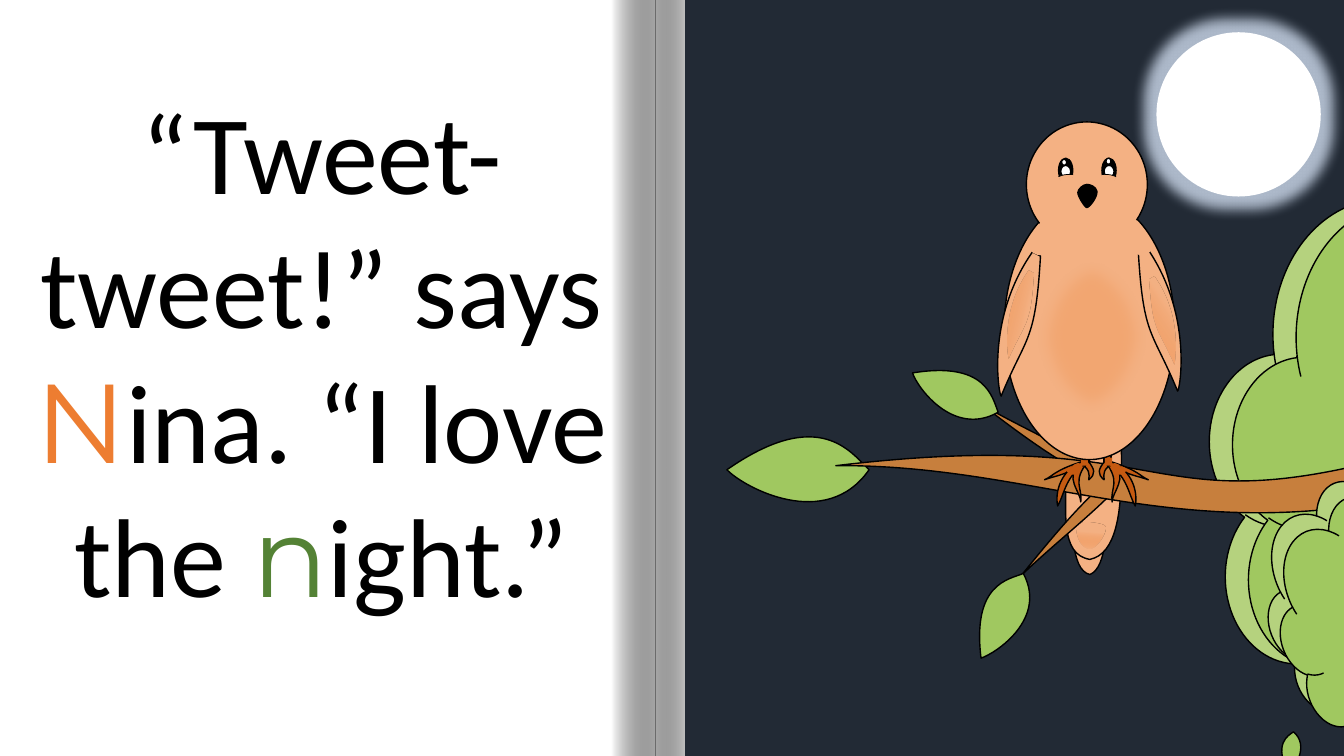
"""Build a storybook page with a bird on a branch at night."""
from dataclasses import dataclass, replace
from math import cos, radians, sin
from typing import Optional, Union

from lxml.etree import SubElement
from pptx import Presentation
from pptx.dml.color import RGBColor
from pptx.enum.shapes import MSO_SHAPE
from pptx.enum.text import MSO_AUTO_SIZE, PP_ALIGN
from pptx.oxml.ns import qn
from pptx.util import Inches, Pt

BLACK, WHITE, NIGHT, ORANGE = "000000", "FFFFFF", "222A35", "ED7D31"
PEACH, RUST, BARK, LEAF, PALE_LEAF = "F4B183", "C55A11", "C77F3D", "A0C860", "B5D27E"
RECT, DISC, OVAL = MSO_SHAPE.RECTANGLE, MSO_SHAPE.FLOWCHART_CONNECTOR, MSO_SHAPE.OVAL
CLOUD, ARC = MSO_SHAPE.CLOUD, MSO_SHAPE.ARC


@dataclass(frozen=True)
class Paint:
    fill: str
    line: Optional[str] = None
    weight: float = 1
    alpha: Optional[int] = None
    fade_to: Optional[str] = None
    fade_start: float = 0
    angle: float = 0


@dataclass(frozen=True)
class Preset:
    kind: MSO_SHAPE
    frame: tuple
    paint: Paint
    turn: float = 0
    flip: str = ""
    arc: tuple = ()
    effect: tuple = ()

    def mirrored(self, axis_sum: float, drop: float = 0) -> "Preset":
        flip = self.flip.replace("h", "") if "h" in self.flip else "h" + self.flip
        return replace(self, frame=mirror_frame(self.frame, axis_sum, drop),
                       turn=-self.turn % 360, flip=flip)


@dataclass(frozen=True)
class Outline:
    frame: tuple
    turn: float
    start: tuple
    steps: tuple
    paint: Paint

    def mirrored(self, axis_sum: float, drop: float = 0) -> "Outline":
        def across(values: tuple) -> tuple:
            return tuple(value + drop if i % 2 else axis_sum - value
                         for i, value in enumerate(values))
        return replace(self, frame=mirror_frame(self.frame, axis_sum, drop),
                       turn=-self.turn % 360, start=across(self.start),
                       steps=tuple(map(across, self.steps)))


Item = Union[Preset, Outline]


def mirror_frame(frame: tuple, axis_sum: float, drop: float) -> tuple:
    left, top, width, height = frame
    return axis_sum - left - width, top + drop, width, height


def inked(fill: str) -> Paint:
    return Paint(fill, BLACK)


def feather(angle: float) -> Paint:
    return Paint(PEACH, alpha=0, fade_to=ORANGE, fade_start=0.38, angle=angle)


def both_sides(items: list, axis_sum: float, drop: float = 0) -> list:
    return items + [item.mirrored(axis_sum, drop) for item in items]


SHADE = Paint(WHITE, alpha=34, fade_to=BLACK, angle=180)
BOOK = [
    Preset(RECT, (-0.01, 0, 13.47, 7.5), Paint(WHITE)),
    *both_sides([Preset(RECT, (6.5, 0, 0.43, 7.5), SHADE)], 13),
]
SCENERY = [
    Preset(RECT, (6.8, 0, 6.66, 7.75), Paint(NIGHT, NIGHT)),
    Preset(CLOUD, (12, 1.4, 7.04, 6.31), inked(PALE_LEAF)),
    Preset(CLOUD, (12.23, 1.43, 7.04, 6.31), inked(LEAF)),
    Outline((12.6, 7.37, 0.41, 0.19), 283.6, (12.78, 7.67), (
        (12.63, 7.38, 12.77, 7.3, 12.83, 7.26), (12.99, 7.4, 12.84, 7.62, 12.78, 7.67)), inked(LEAF)),
]
TAIL = [
    Outline((10.26, 3.01, 0.69, 2.69), 357, (10.19, 3.03), (
        (10.89, 3.16), (10.86, 4.01, 11.15, 5.56, 10.81, 5.7),
        (10.42, 5.61, 10.87, 3.89, 10.19, 3.03)), inked(PEACH)),
    Outline((10.06, 3.02, 1.07, 2.53), 0, (10.06, 3.02), (
        (11.13, 3.18), (11.02, 3.97, 11.33, 5.44, 10.81, 5.55),
        (10.21, 5.45, 11.05, 3.87, 10.06, 3.02)), inked(PEACH)),
    Outline((10.68, 5.19, 0.28, 0.25), 4.1, (10.68, 5.21), (
        (10.71, 5.17, 10.94, 5.19, 10.96, 5.23), (10.98, 5.27, 10.88, 5.45, 10.8, 5.44),
        (10.73, 5.43, 10.67, 5.33, 10.68, 5.21)), feather(90)),
]
BRANCH = [
    Outline((9.62, 4.32, 1.39, 0.13), 28.6, (9.73, 4.01), (
        (10.08, 4.22, 10.69, 4.49, 10.95, 4.68), (10.94, 4.69, 10.87, 4.73, 10.87, 4.74),
        (10.55, 4.65, 9.92, 4.15, 9.73, 4.01)), inked(BARK)),
    Outline((9.91, 5.14, 1.39, 0.13), 317.1, (10.12, 5.72), (
        (10.41, 5.43, 10.94, 5.02, 11.14, 4.77), (11.13, 4.76, 11.06, 4.75, 11.05, 4.73),
        (10.76, 4.91, 10.27, 5.54, 10.12, 5.72)), inked(BARK)),
    Outline((7.22, 4.32, 1.4, 0.65), 7.4, (7.21, 4.66), (
        (8.13, 4.02, 8.44, 4.49, 8.62, 4.66), (8.19, 5.28, 7.37, 4.83, 7.21, 4.66)), inked(LEAF)),
    Outline((8.34, 4.09, 6.93, 1.18), 351.3, (8.29, 4.62), (
        (12.23, 4.15, 11.08, 5.54, 15.22, 4.09), (15.21, 4.25, 15.16, 4.4, 15.2, 4.56),
        (12.1, 5.72, 10.59, 4.6, 8.29, 4.62)), inked(BARK)),
    Outline((9.47, 5.89, 0.92, 0.43), 304.3, (9.73, 6.53), (
        (9.64, 5.79, 10, 5.75, 10.15, 5.69), (10.39, 6.14, 9.88, 6.48, 9.73, 6.53)), inked(LEAF)),
    Outline((9.02, 3.67, 0.92, 0.43), 32.6, (9.05, 3.7), (
        (9.78, 3.58, 9.84, 3.94, 9.9, 4.09), (9.46, 4.34, 9.1, 3.85, 9.05, 3.7)), inked(LEAF)),
    Preset(CLOUD, (12.55, 4.56, 2.61, 2.66), inked(PALE_LEAF), 338.5),
    Preset(CLOUD, (12.67, 4.71, 2.61, 2.66), inked(LEAF), 338.5),
]
MOON = Preset(DISC, (11.47, 0.32, 1.63, 1.63), Paint(WHITE), effect=("a:glow", 0.25, "ADB9CA"))
FOOT = [
    Preset(RECT, (10.95, 3.95, 0.07, 0.67), inked(RUST), flip="h"),
    Outline((10.93, 4.57, 0.2, 0.38), 332.3, (11.04, 4.59), (
        (10.96, 4.58), (11.12, 4.78, 11.01, 4.84, 11.03, 4.98),
        (11.03, 4.88, 11.2, 4.74, 11.04, 4.59)), inked(RUST)),
    Outline((11.11, 4.47, 0.16, 0.4), 273.9, (11.02, 4.58), (
        (10.99, 4.61), (11.27, 4.74, 11.25, 4.71, 11.39, 4.76),
        (11.3, 4.72, 11.3, 4.67, 11.02, 4.58)), inked(RUST)),
    Outline((10.9, 4.6, 0.12, 0.14), 40.7, (10.96, 4.57), (
        (10.99, 4.63), (10.92, 4.69, 10.96, 4.76, 10.95, 4.76),
        (10.88, 4.7, 10.89, 4.66, 10.96, 4.57)), inked(RUST)),
    Outline((10.97, 4.57, 0.3, 0.45), 294.3, (11.04, 4.59), (
        (10.96, 4.59), (11.18, 4.7, 11.19, 4.9, 11.26, 5.02),
        (11.29, 4.87, 11.22, 4.67, 11.04, 4.59)), inked(RUST)),
    Preset(RECT, (10.96, 4.54, 0.07, 0.08), Paint(RUST)),
    Preset(OVAL, (11.03, 4.59, 0.05, 0.1), Paint(RUST), 306.1),
    Preset(OVAL, (11.07, 4.61, 0.08, 0.12), Paint(RUST), 259.8),
    Preset(OVAL, (11.03, 4.58, 0.08, 0.12), Paint(RUST), 299.4),
]
BODY = [
    Preset(DISC, (9.96, 1.95, 1.69, 2.61), inked(PEACH)),
    Preset(DISC, (10.18, 1.21, 1.2, 1.24), inked(PEACH)),
]
EYES = [part for left in (10.5, 10.93) for part in (
    Preset(DISC, (left, 1.57, 0.14, 0.24), inked(BLACK), flip="h"),
    Preset(DISC, (left + 0.02, 1.64, 0.1, 0.12), inked(WHITE), 356.7, "h"))]
GLINTS = [Preset(DISC, (left, top, 0.05, 0.06), inked(WHITE), 356.7, "h")
          for left, top in ((10.97, 1.57), (10.53, 1.58))]
BELLY = [
    Preset(DISC, (10.26, 2.2, 1.08, 0.27), Paint(PEACH), flip="v"),
    Preset(DISC, (10.02, 2.76, 1.62, 1.16), Paint(ORANGE, alpha=20), 90, "v",
           effect=("a:softEdge", 0.14, None)),
]
WING = Outline((11.37, 2.44, 0.33, 1.44), 337.3, (11.29, 2.49), (
    (11.37, 2.45), (11.84, 3.12, 11.7, 3.88, 11.68, 3.88),
    (11.43, 3.27, 11.34, 3.36, 11.29, 2.49)), inked(PEACH))
SHOULDER = Preset(DISC, (11.25, 2.41, 0.18, 0.12), Paint(PEACH), 341.8, "v")
WING_PATCH = Outline((11.45, 2.74, 0.2, 0.88), 337.3, (11.4, 2.77), (
    (11.45, 2.74), (11.73, 3.15, 11.64, 3.62, 11.64, 3.62),
    (11.48, 3.24, 11.43, 3.3, 11.4, 2.77)), feather(170))
NECK = [Preset(DISC, (left, top, 0.18, 0.12), Paint(PEACH), 341.8, "v")
        for left, top in ((11.11, 2.17), (10.29, 2.18))]
BEAK = Outline((10.69, 1.83, 0.19, 0.23), 0, (10.69, 1.91), (
    (10.69, 1.88, 10.74, 1.83, 10.78, 1.83), (10.81, 1.83, 10.87, 1.85, 10.88, 1.9),
    (10.88, 1.97, 10.8, 2.06, 10.78, 2.06), (10.76, 2.06, 10.69, 1.95, 10.69, 1.91)), inked(BLACK))
CHEEK = Preset(ARC, (10.35, 1.73, 0.51, 0.51), Paint(PEACH, BLACK, 0.5), 311.9,
               arc=(176.06, 196.09))
BIRD = [*both_sides(FOOT, 21.75), *BODY, *EYES, *GLINTS, *BELLY,
        *both_sides([WING], 21.61, 0.05), *both_sides([SHOULDER], 21.64),
        *both_sides([WING_PATCH], 21.65, -0.06), *NECK, BEAK, *both_sides([CHEEK], 21.57)]
STORY = [("“Tweet-tweet!” says ", "Calibri", BLACK), ("N", "Montserrat", ORANGE),
         ("ina. “I love the ", "Calibri", BLACK), ("n", "Montserrat", "548235"),
         ("ight.”", "Calibri", BLACK)]


def colour(value: str) -> RGBColor:
    return RGBColor.from_string(value)


def apply_paint(shape, paint: Paint) -> None:
    shape.shadow.inherit = False
    if paint.fade_to:
        shape.fill.gradient()
        shape.fill.gradient_angle = -paint.angle % 360
        stops = ((paint.fade_start, paint.fill), (1, paint.fade_to))
        for stop, (position, value) in zip(shape.fill.gradient_stops, stops):
            stop.position, stop.color.rgb = position, colour(value)
    else:
        shape.fill.solid()
        shape.fill.fore_color.rgb = colour(paint.fill)
    if paint.alpha is not None:
        tint = shape.element.spPr.xpath("./a:gradFill//a:srgbClr | ./a:solidFill/a:srgbClr")[-1]
        SubElement(tint, qn("a:alpha"), val=str(paint.alpha * 1000))
    if paint.line:
        shape.line.color.rgb, shape.line.width = colour(paint.line), Pt(paint.weight)
    else:
        shape.line.fill.background()


def add_outline(page, item: Outline):
    left, top, width, height = item.frame
    cosine, sine = cos(radians(item.turn)), sin(radians(item.turn))

    def local(x: float, y: float) -> tuple:
        across, down = x - left - width / 2, y - top - height / 2
        return (Inches(across * cosine + down * sine + width / 2),
                Inches(down * cosine - across * sine + height / 2))

    corners = [tuple(map(Inches, step[-2:])) for step in item.steps]
    builder = page.shapes.build_freeform(*map(Inches, item.start))
    shape = builder.add_line_segments(corners).convert_to_shape()
    shape.left, shape.top, shape.width, shape.height = map(Inches, item.frame)
    track = shape.element.spPr.xpath(".//a:path")[0]
    track.clear()
    track.set("w", str(Inches(width)))
    track.set("h", str(Inches(height)))
    for values in (item.start, *item.steps):
        tag = "a:moveTo" if values is item.start else "a:lnTo" if len(values) == 2 else "a:cubicBezTo"
        move = SubElement(track, qn(tag))
        for x, y in zip(values[::2], values[1::2]):
            across, down = local(x, y)
            SubElement(move, qn("a:pt"), x=str(across), y=str(down))
    SubElement(track, qn("a:close"))
    return shape


def draw(page, item: Item) -> None:
    if isinstance(item, Outline):
        shape = add_outline(page, item)
    else:
        shape = page.shapes.add_shape(item.kind, *map(Inches, item.frame))
        for axis in item.flip:
            shape.element.spPr.xfrm.set("flip" + axis.upper(), "1")
        for i, angle in enumerate(item.arc):
            shape.adjustments[i] = angle
    shape.rotation = item.turn
    apply_paint(shape, item.paint)
    if isinstance(item, Preset) and item.effect:
        tag, radius, tint = item.effect
        effects = shape.element.spPr.find(qn("a:effectLst"))
        effect = SubElement(effects, qn(tag), rad=str(Inches(radius)))
        if tint:
            SubElement(effect, qn("a:srgbClr"), val=tint)


def write_story(page) -> None:
    box = page.shapes.add_textbox(*map(Inches, (-0.06, 0.77, 6.5, 5.49)))
    box.text_frame.word_wrap = True
    box.text_frame.auto_size = MSO_AUTO_SIZE.SHAPE_TO_FIT_TEXT
    para = box.text_frame.paragraphs[0]
    para.alignment = PP_ALIGN.CENTER
    for text, family, value in STORY:
        span = para.add_run()
        span.text = text
        for name, setting in {"size": Pt(80), "name": family}.items():
            setattr(span.font, name, setting)
        span.font.color.rgb = colour(value)


def main() -> None:
    deck = Presentation()
    deck.slide_width, deck.slide_height = Inches(13.33), Inches(7.5)
    page = deck.slides.add_slide(deck.slide_layouts[6])
    page.background.fill.solid()
    page.background.fill.fore_color.rgb = colour(BLACK)
    for item in BOOK:
        draw(page, item)
    write_story(page)
    for item in [*SCENERY, *TAIL, *BRANCH, MOON, *BIRD]:
        draw(page, item)
    deck.save("out.pptx")


if __name__ == "__main__":
    main()
